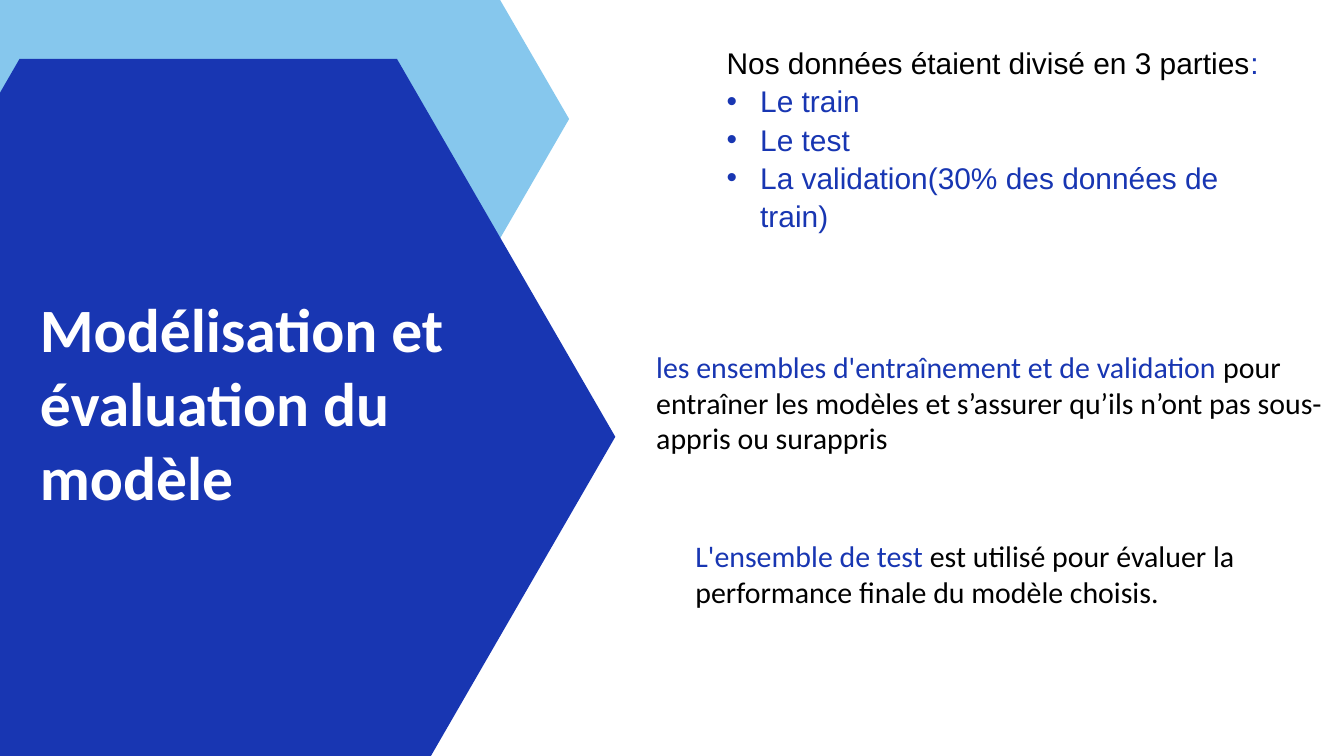
from dataclasses import dataclass

from lxml import etree
from pptx import Presentation
from pptx.dml.color import RGBColor
from pptx.enum.text import MSO_ANCHOR, MSO_AUTO_SIZE, PP_ALIGN
from pptx.oxml.ns import qn
from pptx.util import Emu, Pt

LEFT = PP_ALIGN.LEFT
TOP = MSO_ANCHOR.TOP
GROW = MSO_AUTO_SIZE.SHAPE_TO_FIT_TEXT
PX = 9525  # EMU per px, 96 px to the inch


@dataclass(frozen=True)
class Theme:
    blue: RGBColor = RGBColor(0x18, 0x36, 0xB2)
    sky: RGBColor = RGBColor(0x86, 0xC7, 0xED)
    black: RGBColor = RGBColor(0, 0, 0)
    white: RGBColor = RGBColor(255, 255, 255)
    heading_font: str = "Calibri"
    list_font: str = "Arial"
    title_size: int = 66
    text_size: int = 32


class SlideBuilder:
    def __init__(self, slide, theme):
        self.slide = slide
        self.theme = theme

    def place(self, shape, box, inset=None):
        shape.left, shape.top, shape.width, shape.height = (Emu(v * PX) for v in box)
        frame = shape.text_frame
        frame.word_wrap = True
        frame.auto_size = GROW
        frame.vertical_anchor = TOP
        if inset is not None:
            frame.margin_left = frame.margin_right = Emu(inset * PX)
            frame.margin_top = frame.margin_bottom = Emu(inset * PX)
        return frame

    def fill_paragraph(self, paragraph, runs, font, size, bold=False):
        """Fill a paragraph with (text, colour) runs."""
        paragraph.alignment = LEFT
        paragraph.space_before = Pt(0)
        paragraph.font.name = font
        paragraph.font.size = Pt(size)
        paragraph.font.bold = bold
        if len(runs) == 1:
            paragraph.font.color.rgb = runs[0][1]
        for text, color in runs:
            run = paragraph.add_run()
            run.text = text
            if len(runs) > 1:
                run.font.color.rgb = color

    def hexagon(self, left, top, width, height, inset, color):
        right, bottom, middle = left + width, top + height, top + height // 2
        builder = self.slide.shapes.build_freeform(left + inset, top, scale=PX)
        builder.add_line_segments([
            (right - inset, top), (right, middle), (right - inset, bottom),
            (left + inset, bottom), (left, middle)])
        shape = builder.convert_to_shape()
        shape.shadow.inherit = False
        shape.fill.solid()
        shape.fill.fore_color.rgb = color
        shape.line.fill.background()

    def title(self, text, box):
        shape = self.slide.shapes.title
        # Bring the title in front of the hexagons
        shape._element.getparent().append(shape._element)
        frame = self.place(shape, box, inset=0)
        self.fill_paragraph(frame.paragraphs[0], [(text, self.theme.white)],
                            self.theme.heading_font, self.theme.title_size, bold=True)

    def bullet_list(self, intro, items, box, indent=48):
        frame = self.place(self.slide.placeholders[1], box, inset=0)
        rows = [(intro, False)] + [([(item, self.theme.blue)], True) for item in items]
        for index, (runs, bulleted) in enumerate(rows):
            paragraph = frame.add_paragraph() if index else frame.paragraphs[0]
            properties = paragraph._p.get_or_add_pPr()
            offset = indent * PX if bulleted else 0
            properties.set("marL", str(offset))
            properties.set("indent", str(-offset))
            if bulleted:
                etree.SubElement(properties, qn("a:buFont"), typeface=self.theme.list_font)
                etree.SubElement(properties, qn("a:buChar"), char="•")
            else:
                etree.SubElement(properties, qn("a:buNone"))
            paragraph.line_spacing = 1.07
            self.fill_paragraph(paragraph, runs, self.theme.list_font, self.theme.text_size)

    def note(self, lead, rest, box):
        shape = self.slide.shapes.add_textbox(0, 0, 0, 0)
        frame = self.place(shape, box)
        self.fill_paragraph(frame.paragraphs[0],
                            [(lead, self.theme.blue), (rest, self.theme.black)],
                            self.theme.heading_font, self.theme.text_size)


def main():
    presentation = Presentation()
    presentation.slide_width = Emu(1920 * PX)
    presentation.slide_height = Emu(1080 * PX)
    slide = presentation.slides.add_slide(presentation.slide_layouts[1])
    theme = Theme()
    builder = SlideBuilder(slide, theme)

    # Hexagons bleeding off the left edge, with the title on top
    builder.hexagon(-218, -156, 1031, 653, 189, theme.sky)
    builder.hexagon(-284, 84, 1163, 1080, 312, theme.blue)
    builder.title("Modélisation et évaluation du modèle", (57, 416, 599, 320))

    # Data split
    builder.bullet_list(
        [("Nos données étaient divisé en 3 parties", theme.black), (":", theme.blue)],
        ["Le train", "Le test", "La validation(30% des données de train)"],
        (1038, 60, 800, 273))

    # Role of each set
    builder.note(
        "les ensembles d'entraînement et de validation ",
        "pour entraîner les modèles et s’assurer qu’ils n’ont pas "
        "sous-appris ou surappris",
        (928, 493, 992, 165))
    builder.note(
        "L'ensemble de test ",
        "est utilisé pour évaluer la performance finale du modèle choisis.",
        (984, 764, 904, 113))

    presentation.save("out.pptx")


if __name__ == "__main__":
    main()
